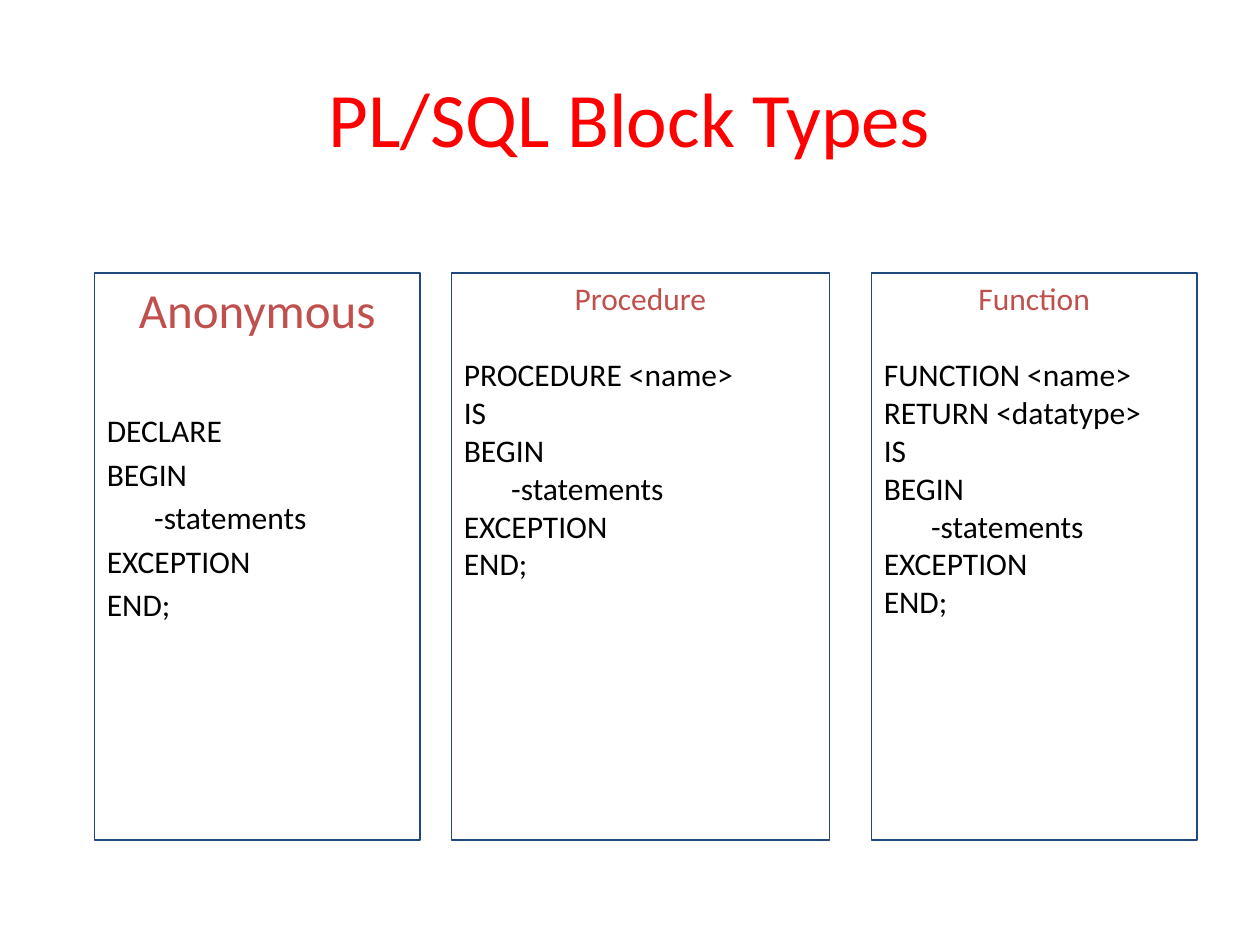
from dataclasses import dataclass

from pptx import Presentation
from pptx.dml.color import RGBColor as Rgb
from pptx.enum.shapes import MSO_SHAPE as Shape
from pptx.enum.text import MSO_ANCHOR as Anchor, PP_ALIGN as Align
from pptx.slide import Slide
from pptx.text.text import TextFrame as Frame
from pptx.util import Pt


@dataclass(frozen=True)
class Theme:
    face: str = "Calibri"
    title: Rgb = Rgb(0xFF, 0x00, 0x00)
    head: Rgb = Rgb(0xC0, 0x50, 0x4D)
    code: Rgb = Rgb(0x00, 0x00, 0x00)
    edge: Rgb = Rgb(0x1F, 0x49, 0x7D)
    title_size: float = 44
    code_size: float = 18


@dataclass(frozen=True)
class Block:
    name: str
    left: float
    width: float
    intro: tuple[str, ...]
    size: float = 18
    gap: float = 22
    lead: float = 0


THEME = Theme()
TOP, HEIGHT, INDENT = 156, 324, 27
STEP = "-statements"
BODY = ("BEGIN", STEP, "EXCEPTION", "END;")
BLOCKS = (
    Block("Anonymous", 54, 186, ("DECLARE",), size=28, gap=42, lead=3.2),
    Block("Procedure", 258, 216, ("PROCEDURE <name>", "IS")),
    Block("Function", 498, 186,
          ("FUNCTION <name>", "RETURN <datatype>", "IS")),
)


def put(item: object, **values: object) -> None:
    for key, value in values.items():
        setattr(item, key, value)


def write(frame: Frame, row: int, text: str, size: float, color: Rgb,
          align: Align, space: float = 0, indent: float = 0) -> None:
    """Fill paragraph number row; row 0 is the one the frame starts with."""
    para = frame.add_paragraph() if row else frame.paragraphs[0]
    props = para._p.get_or_add_pPr()
    for key, value in {"marL": Pt(indent), "indent": 0}.items():
        props.set(key, str(value))
    put(para, text=text, alignment=align, space_before=Pt(space))
    put(para.font, name=THEME.face, size=Pt(size))
    para.font.color.rgb = color


def draw_title(slide: Slide, text: str) -> None:
    title = slide.shapes.title
    put(title, left=Pt(36), top=Pt(21.6), width=Pt(648), height=Pt(90))
    put(title.text_frame, vertical_anchor=Anchor.MIDDLE, word_wrap=True)
    write(title.text_frame, 0, text, THEME.title_size, THEME.title,
          Align.CENTER)


def draw_block(slide: Slide, block: Block) -> None:
    box = slide.shapes.add_shape(Shape.RECTANGLE, Pt(block.left), Pt(TOP),
                                 Pt(block.width), Pt(HEIGHT))
    box.shadow.inherit = False
    box.fill.background()
    box.line.color.rgb = THEME.edge
    box.line.width = Pt(0.75)
    frame = box.text_frame
    put(frame, vertical_anchor=Anchor.TOP, word_wrap=True)
    write(frame, 0, block.name, block.size, THEME.head, Align.CENTER)
    for row, line in enumerate(block.intro + BODY, 1):
        write(frame, row, line, THEME.code_size, THEME.code, Align.LEFT,
              space=block.gap if row == 1 else block.lead,
              indent=INDENT if line == STEP else 0)


def main() -> None:
    deck = Presentation()
    put(deck, slide_width=Pt(720), slide_height=Pt(540))
    slide = deck.slides.add_slide(deck.slide_layouts.get_by_name("Title Only"))
    draw_title(slide, "PL/SQL Block Types")
    for block in BLOCKS:
        draw_block(slide, block)
    deck.save("out.pptx")


if __name__ == "__main__":
    main()
